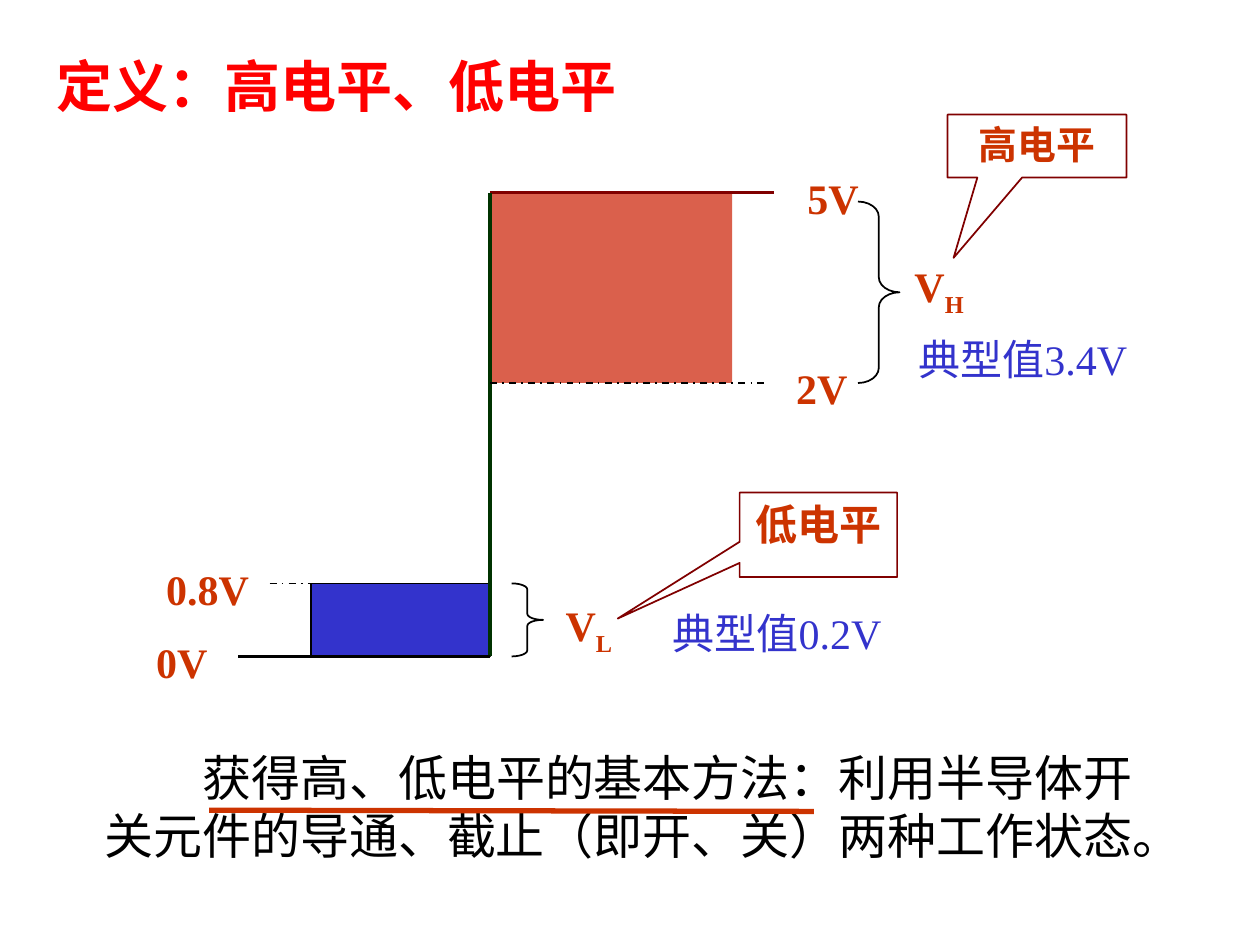
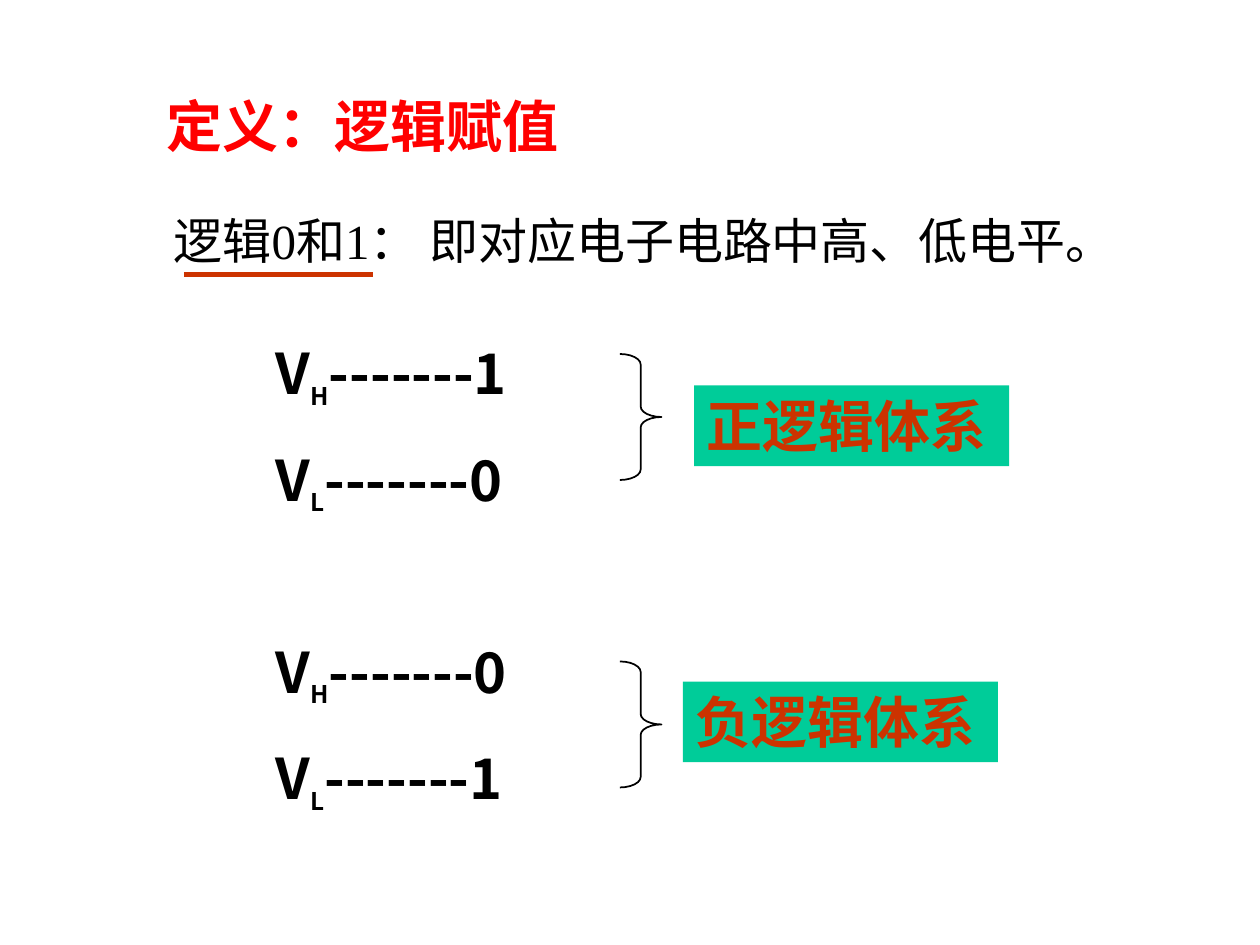
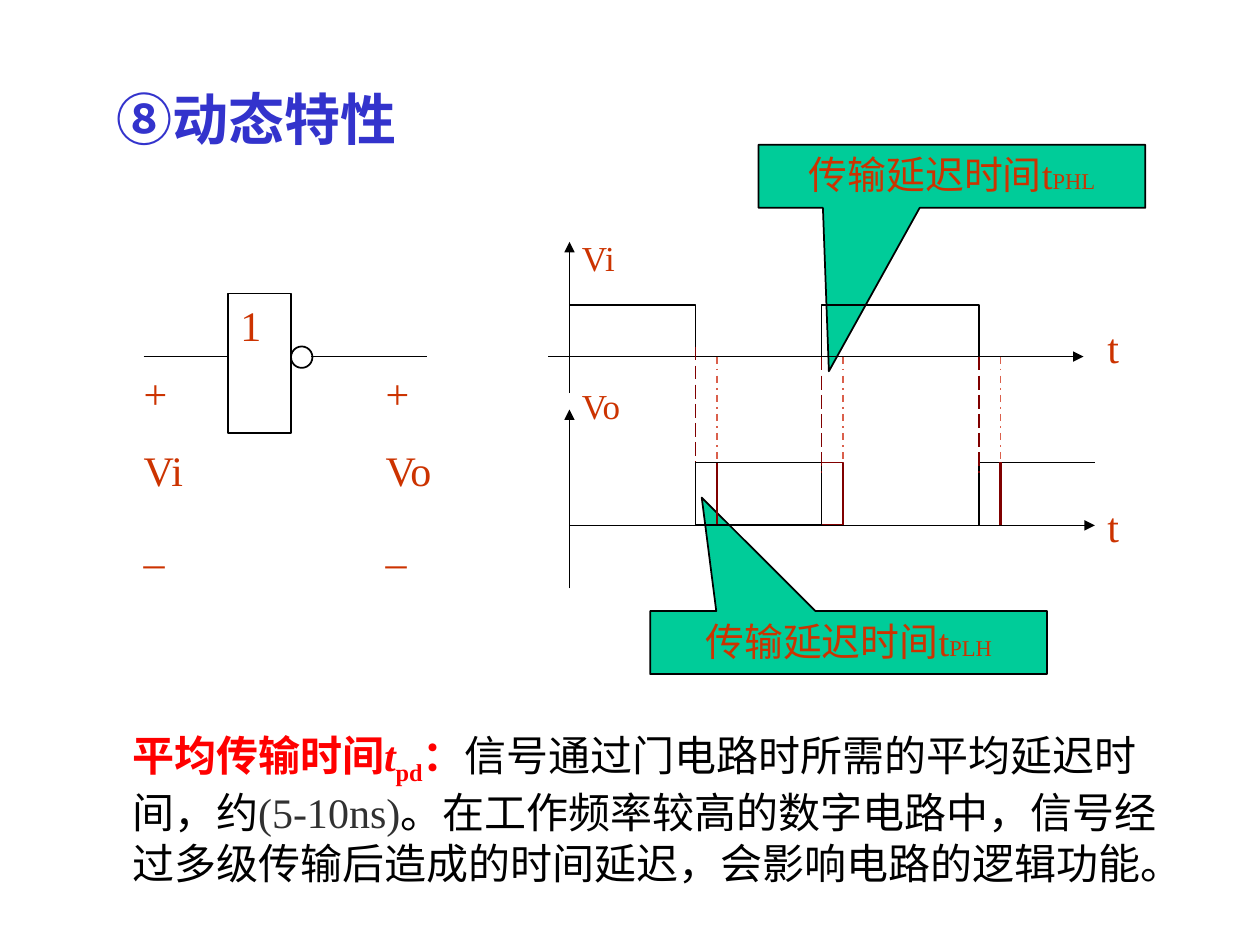
from dataclasses import dataclass
from functools import singledispatch
from typing import NamedTuple, Optional

from lxml import etree
from pptx import Presentation
from pptx import util as u
from pptx.dml.color import RGBColor
from pptx.enum import dml, shapes, text
from pptx.oxml.ns import qn

# Grid: 100 columns by 75 rows on a 10 x 7.5 inch slide
WIDTH, HEIGHT = u.Inches(10), u.Inches(7.5)
COL, ROW = WIDTH / 100, HEIGHT / 75

# Shared colours and fonts
RED, RUST, BLUE, BLACK, WHITE = "FF0000", "CC3300", "3333CC", "000000", "FFFFFF"
MAROON, CORAL, GREEN, PINE, GREY = "800000", "DA604C", "00CC99", "003300", "313131"
SERIF, SANS = "Times New Roman", "Noto Sans CJK SC"

# Shared text formats
TITLE = dict(size=32, name=SANS, bold=True, color=RED)
HEADING = dict(size=32, bold=True, color=BLUE)
LEVEL = dict(size=24, bold=True, color=RUST)
TYPICAL = dict(size=24, color=BLUE)
BODY = dict(size=28, color=BLACK)
NOTE = dict(size=24, color=BLACK)
TERM = dict(size=24, bold=True, color=RED)
SYMBOL = dict(size=24, color=RUST)
AXIS = dict(size=20, color=RUST)
DELAY = dict(size=22.2, color=RUST)
PLATE = dict(size=32, bold=True, color=RUST)
LOGIC = dict(size=32, name=SANS, bold=True, color=BLACK)
SUB = dict(baseline="-25000")

DASH_DOT, LONG_DASH = dml.MSO_LINE.DASH_DOT, dml.MSO_LINE.LONG_DASH
RECT = shapes.MSO_SHAPE.RECTANGLE
OVAL = shapes.MSO_SHAPE.OVAL
CALLOUT = shapes.MSO_SHAPE.RECTANGULAR_CALLOUT
BRACE = shapes.MSO_SHAPE.RIGHT_BRACE


class Box(NamedTuple):
    left: float
    top: float
    width: float
    height: float


class Run(NamedTuple):
    words: str
    fmt: dict


@dataclass
class Copy:
    """Paragraphs of runs, with the layout of their frame."""
    paragraphs: list
    gap: float = 0
    indent: float = 0
    centred: bool = False
    middle: bool = False
    inset: tuple = (1, 0.5)


@dataclass
class Label:
    box: Box
    copy: Copy


@dataclass
class Block:
    box: Box
    kind: shapes.MSO_SHAPE = RECT
    fill: Optional[str] = None
    line: Optional[str] = BLACK
    adjust: tuple = ()
    copy: Optional[Copy] = None


@dataclass
class Rule:
    start: tuple
    end: tuple
    color: str = BLACK
    weight: float = 1
    dash: Optional[dml.MSO_LINE] = None
    arrow: bool = False


def rgb(value: str) -> RGBColor:
    return RGBColor.from_string(value)


def place(*cells: float) -> list:
    """Turn alternating columns and rows into lengths."""
    return [u.Emu(round(c * (ROW if i % 2 else COL))) for i, c in enumerate(cells)]


def plain(words: str, fmt: dict, **layout) -> Copy:
    return Copy([[Run(words, fmt)]], **layout)


def write(tf, copy: Copy) -> None:
    side, edge = place(*copy.inset)
    frame = dict(word_wrap=True, margin_left=side, margin_right=side,
                 margin_top=edge, margin_bottom=edge,
                 vertical_anchor=text.MSO_ANCHOR.MIDDLE if copy.middle
                 else text.MSO_ANCHOR.TOP)
    for name, value in frame.items():
        setattr(tf, name, value)
    for i, runs in enumerate(copy.paragraphs):
        p = tf.add_paragraph() if i else tf.paragraphs[0]
        p.alignment = text.PP_ALIGN.CENTER if copy.centred else text.PP_ALIGN.LEFT
        if i:
            p.space_before = u.Pt(copy.gap)
        if copy.indent:
            p._p.get_or_add_pPr().set("indent", str(u.Pt(copy.indent)))
        for words, fmt in runs:
            r = p.add_run()
            r.text = words
            style(r, fmt)


def style(r, fmt: dict) -> None:
    values = {"name": SERIF, **fmt}
    values["size"] = u.Pt(values["size"])
    r.font.color.rgb = rgb(values.pop("color"))
    baseline = values.pop("baseline", None)
    for name, value in values.items():
        setattr(r.font, name, value)
    rPr = r._r.get_or_add_rPr()
    if baseline:
        rPr.set("baseline", baseline)
    ea = etree.Element(qn("a:ea"), typeface=SANS)
    rPr.find(qn("a:latin")).addnext(ea)


# Drawing, one function per kind of part
@singledispatch
def draw(part, s) -> None:
    raise TypeError(part)


@draw.register
def draw_label(part: Label, s) -> None:
    write(s.shapes.add_textbox(*place(*part.box)).text_frame, part.copy)


@draw.register
def draw_block(part: Block, s) -> None:
    sp = s.shapes.add_shape(part.kind, *place(*part.box))
    sp.shadow.inherit = False
    for i, value in enumerate(part.adjust):
        sp.adjustments[i] = value
    if part.fill:
        sp.fill.solid()
        sp.fill.fore_color.rgb = rgb(part.fill)
    else:
        sp.fill.background()
    if part.line:
        sp.line.color.rgb = rgb(part.line)
        sp.line.width = u.Pt(1)
    else:
        sp.line.fill.background()
    if part.copy:
        write(sp.text_frame, part.copy)


@draw.register
def draw_rule(part: Rule, s) -> None:
    cn = s.shapes.add_connector(shapes.MSO_CONNECTOR.STRAIGHT,
                                *place(*part.start, *part.end))
    cn.line.color.rgb = rgb(part.color)
    cn.line.width = u.Pt(part.weight)
    if part.dash:
        cn.line.dash_style = part.dash
    if part.arrow:
        etree.SubElement(cn.line._get_or_add_ln(), qn("a:tailEnd"), type="triangle")
    etree.SubElement(cn._element.spPr, qn("a:effectLst"))


def brace(left: float, top: float, width: float, height: float) -> Block:
    """A right brace whose curves take a twelfth of its height."""
    return Block(Box(left, top, width, height), BRACE,
                 adjust=(height / 12 / min(width, height), 0.5))


def subscripted(sub: str, fmt: dict, rest: str = "") -> list:
    runs = [Run("V", fmt), Run(sub, {**fmt, "size": 24, **SUB})]
    return runs + [Run(rest, fmt)] if rest else runs


def levels_slide() -> list:
    edge = 38.9
    v5, v2, v08, v0 = 15.3, 30.4, 46.3, 52.1
    parts = [
        # Bands and the step between them
        Block(Box(24.7, v08, edge - 24.7, v0 - v08), fill=BLUE),
        Block(Box(edge, v5, 19.2, v2 - v5), fill=CORAL, line=None),
        Rule((edge, v5), (61.4, v5), MAROON, 1.5),
        Rule((edge, v5), (edge, v0), PINE, 2.25),
        Rule((18.9, v0), (edge, v0), weight=1.5),
        Rule((edge, v2), (60.6, v2), dash=DASH_DOT),
        Rule((21.4, v08), (edge, v08), dash=DASH_DOT),
    ]
    # Voltage labels sit level with their lines
    for words, left, row, width in [("5V", 63.1, v5, 7.5), ("2V", 62.2, v2, 6.7),
                                    ("0V", 11.4, v0, 7.5), ("0.8V", 12.2, v08, 10)]:
        parts.append(Label(Box(left, row - 2.1, width, 5), plain(words, LEVEL)))
    # Braces with their symbols
    parts += [
        brace(68.1, 16, 3.3, v2 - 16),
        Label(Box(71.6, 20.2, 7.3, 5.6), Copy([subscripted("H", LEVEL)])),
        brace(40.6, v08, 2.5, v0 - v08),
        Label(Box(43.9, 47.1, 7.3, 5.6), Copy([subscripted("L", LEVEL)])),
    ]
    # Title, callouts, typical values and the method
    return parts + [
        Label(Box(3.5, 0, 57.5, 13.5),
              plain("定义：高电平、低电平", TITLE, middle=True)),
        Block(Box(58.7, 39.1, 12.5, 6.7), CALLOUT, WHITE, MAROON, (-1.274, 0.992),
              plain("低电平", LEVEL, centred=True)),
        Block(Box(75.2, 9.1, 14.2, 5), CALLOUT, WHITE, MAROON, (-0.466, 1.774),
              plain("高电平", {**LEVEL, "size": 22.2}, centred=True)),
        Label(Box(71.9, 26, 19, 9), plain("典型值3.4V", TYPICAL)),
        Label(Box(52.4, 47.7, 20, 5), plain("典型值0.2V", TYPICAL)),
        Label(Box(8.3, 58.8, 82.5, 10.4),
              plain("获得高、低电平的基本方法：利用半导体开关元件的导通、截止"
                    "（即开、关）两种工作状态。",
                    BODY, indent=2 * BODY["size"], inset=(0, 0.5))),
        Rule((16.6, 64.3), (64.6, 64.4), RUST, 3),
    ]


def logic_slide() -> list:
    parts = [Label(Box(12.2, 6.8, 43, 6.4), plain("定义：逻辑赋值", TITLE))]
    # Two systems: values, brace and name plate
    for name, high, low, top, brace_top, plate in [
            ("正逻辑体系", 1, 0, 26.4, 28.1, (55.1, 30.6)),
            ("负逻辑体系", 0, 1, 50.1, 52.5, (54.2, 54.1))]:
        values = [subscripted(sub, LOGIC, f"-------{bit}")
                  for sub, bit in (("H", high), ("L", low))]
        parts += [
            Label(Box(20.9, top, 25, 15.1), Copy(values, gap=20)),
            brace(49.2, brace_top, 3.3, 10),
            Block(Box(*plate, 25, 6.4), fill=GREEN, line=None,
                  copy=plain(name, PLATE)),
        ]
    return parts + [
        Label(Box(13.8, 16.2, 76.2, 5.7),
              plain("逻辑0和1： 即对应电子电路中高、低电平。", BODY, inset=(0, 0.5))),
        Rule((14.6, 21.8), (29.6, 21.8), RUST, 3),
    ]


def dynamics_slide() -> list:
    origin, fall, rise, fall2, delay = 45.2, 55.2, 65.2, 77.7, 1.7
    in_high, in_low, out_high, out_low = 24.2, 28.3, 36.7, 41.7
    out_height = out_low - out_high
    parts = []
    # Callouts naming the two delays
    for sub, box, tip in [("PLH", Box(51.6, 48.5, 31.5, 5), (-0.37, -2.302)),
                          ("PHL", Box(60.2, 11.5, 30.7, 5), (-0.318, 3.094))]:
        runs = [Run("传输延迟时间t", DELAY), Run(sub, {**DELAY, "size": 12.9})]
        parts.append(Block(box, CALLOUT, GREEN, BLACK, tip,
                           Copy([runs], centred=True)))
    parts += [
        Block(Box(fall + delay, out_high, rise - fall, out_height), line=MAROON),
        Label(Box(8.3, 4.4, 30.6, 10), plain("⑧动态特性", HEADING, middle=True)),
        # Inverter
        Rule((11.4, in_low), (18.1, in_low)),
        Block(Box(18.1, 23.3, 5, 11.1), copy=plain("1", SYMBOL)),
        Block(Box(23.1, 27.5, 1.7, 1.7), OVAL),
        Rule((24.7, in_low), (33.9, in_low)),
    ]
    for name, left, width in [("Vi", 11.4, 3.3), ("Vo", 30.6, 5.8)]:
        port = [[Run(words, SYMBOL)] for words in ("+", name, "_")]
        parts.append(Label(Box(left, 29.2, width, 18),
                           Copy(port, gap=15, inset=(0, 0))))
    # Axes and their names
    parts += [
        Rule((43.5, in_low), (86, in_low), arrow=True),
        Rule((origin, 31.2), (origin, 19.2), arrow=True),
        Rule((origin, 46.7), (origin, 32.5), arrow=True),
        Rule((origin, out_low), (86.9, out_low), arrow=True),
    ]
    for name, top in [("Vi", 18.3), ("Vo", 30)]:
        parts.append(Label(Box(origin, top, 8.3, 4.4), plain(name, AXIS)))
    for top in (25, 39.2):
        parts.append(Label(Box(86.9, top, 4.2, 5), plain("t", SYMBOL)))
    # Pulses
    parts += [
        Block(Box(origin, in_high, fall - origin, in_low - in_high)),
        Block(Box(rise, in_high, fall2 - rise, in_low - in_high)),
        Block(Box(fall, out_high, rise - fall, out_height)),
        Rule((fall2, out_high), (fall2, out_low)),
        Rule((fall2, out_high), (86.9, out_high)),
        Rule((fall2 + delay, out_low), (fall2 + delay, out_high), MAROON, 1.5),
    ]
    # Each input edge and its delayed output edge
    for x, top, bottom in [(fall, 27.5, out_high), (rise, in_low, 37.5),
                           (fall2, in_low, 37.5)]:
        parts += [
            Rule((x, top), (x, bottom), MAROON, dash=LONG_DASH),
            Rule((x + delay, in_low), (x + delay, out_high), CORAL, dash=DASH_DOT),
        ]
    # Definition of the mean delay
    definition = [
        Run("平均传输时间", TERM), Run("t", {**TERM, "italic": True}),
        Run("pd", {**TERM, **SUB}), Run("：", TERM),
        Run("信号通过门电路时所需的平均延迟时间，约", NOTE),
        Run("(5-10ns)", {**NOTE, "color": GREY}),
        Run("。在工作频率较高的数字电路中，信号经过多级传输后造成的时间延迟，"
            "会影响电路的逻辑功能。", NOTE),
    ]
    return parts + [Label(Box(9.5, 57.4, 84.3, 17.6), Copy([definition]))]


def main() -> None:
    prs = Presentation()
    prs.slide_width, prs.slide_height = WIDTH, HEIGHT
    for parts in (levels_slide(), logic_slide(), dynamics_slide()):
        s = prs.slides.add_slide(prs.slide_layouts[6])
        for part in parts:
            draw(part, s)
    prs.save("out.pptx")


if __name__ == "__main__":
    main()
